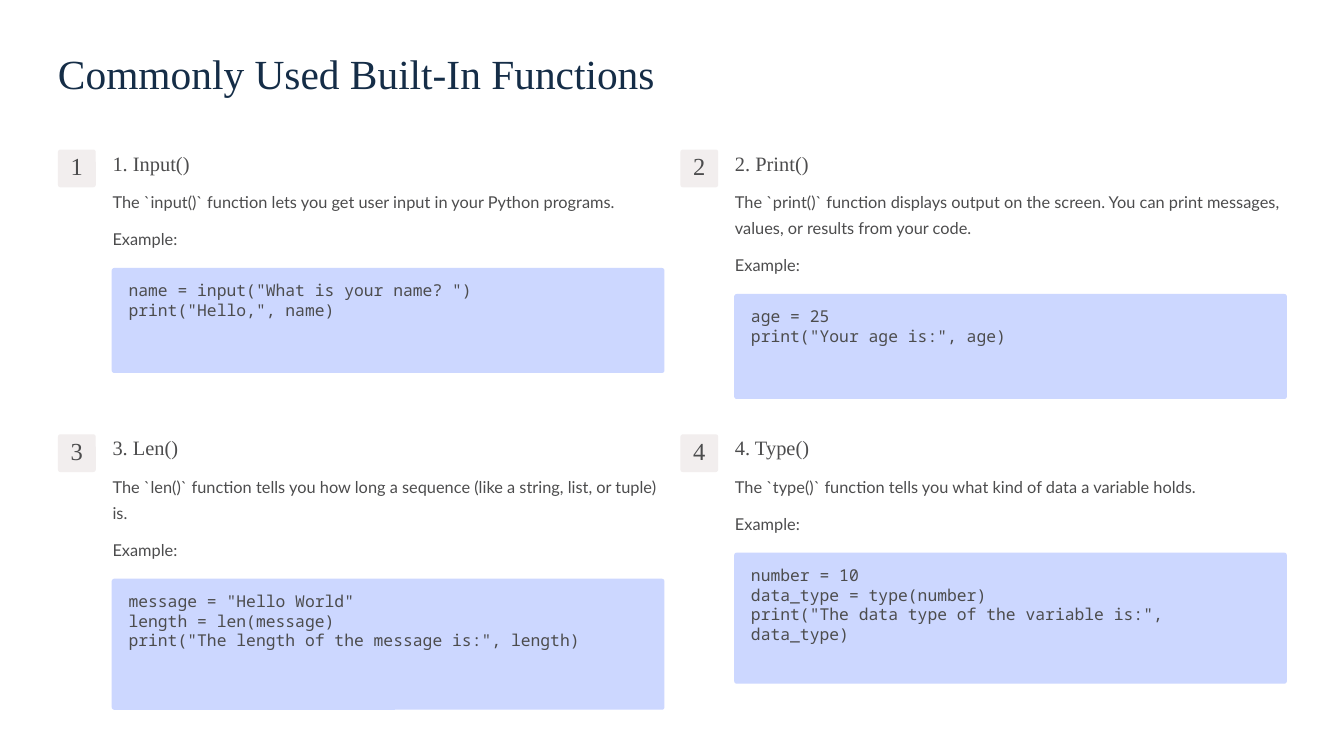
from dataclasses import dataclass

from pptx import Presentation
from pptx.dml.color import RGBColor
from pptx.enum.shapes import MSO_SHAPE
from pptx.enum.text import MSO_ANCHOR, PP_ALIGN
from pptx.util import Inches, Pt


@dataclass(frozen=True)
class TextStyle:
    font: str
    size: float
    line_spacing: float
    color: str = "4C4C4D"


@dataclass(frozen=True)
class Theme:
    badge_fill: str = "F2EEEE"
    code_fill: str = "CCD7FF"
    title: TextStyle = TextStyle("Times New Roman", 35.5, 44.5, "152D47")
    number: TextStyle = TextStyle("Times New Roman", 21, 21)
    heading: TextStyle = TextStyle("Times New Roman", 17.5, 22)
    body: TextStyle = TextStyle("Lato", 14, 22.5)
    code: TextStyle = TextStyle("Noto Sans Mono", 14, 16.8)


THEME = Theme()
COLUMNS = (0.69, 8.1)
ROWS = (1.78, 5.17)
BADGE_SIZE = 0.45
CORNER_RADIUS = 0.03
CONTENT_INDENT = 0.65
CONTENT_WIDTH = 6.56
BODY_LINE = 0.31

FUNCTIONS = [
    ("1. Input()",
     "The `input()` function lets you get user input in your Python programs.", 1,
     ['name = input("What is your name? ")', 'print("Hello,", name)']),
    ("2. Print()",
     "The `print()` function displays output on the screen. "
     "You can print messages, values, or results from your code.", 2,
     ["age = 25", 'print("Your age is:", age)']),
    ("3. Len()",
     "The `len()` function tells you how long a sequence (like a string, list, or tuple) is.", 2,
     ['message = "Hello World"', "length = len(message)",
      'print("The length of the message is:", length)']),
    ("4. Type()",
     "The `type()` function tells you what kind of data a variable holds.", 1,
     ["number = 10", "data_type = type(number)",
      'print("The data type of the variable is:", data_type)']),
]


def fill_text(shape, lines, style, alignment=PP_ALIGN.LEFT, anchor=MSO_ANCHOR.TOP):
    frame = shape.text_frame
    frame.word_wrap = True
    frame.vertical_anchor = anchor
    frame.margin_left = frame.margin_right = frame.margin_top = frame.margin_bottom = 0
    frame.text = "\n".join(lines)
    for paragraph in frame.paragraphs:
        paragraph.alignment = alignment
        paragraph.line_spacing = Pt(style.line_spacing)
        paragraph.font.name = style.font
        paragraph.font.size = Pt(style.size)
        paragraph.font.color.rgb = RGBColor.from_string(style.color)


def add_text(slide, left, top, width, height, lines, style):
    box = slide.shapes.add_textbox(Inches(left), Inches(top), Inches(width), Inches(height))
    fill_text(box, lines, style)


def add_panel(slide, left, top, width, height, color):
    panel = slide.shapes.add_shape(MSO_SHAPE.ROUNDED_RECTANGLE, Inches(left), Inches(top),
                                   Inches(width), Inches(height))
    panel.adjustments[0] = CORNER_RADIUS / min(width, height)
    panel.shadow.inherit = False
    panel.fill.solid()
    panel.fill.fore_color.rgb = RGBColor.from_string(color)
    panel.line.fill.background()
    return panel


def add_badge(slide, left, top, number):
    badge = add_panel(slide, left, top, BADGE_SIZE, BADGE_SIZE, THEME.badge_fill)
    fill_text(badge, [str(number)], THEME.number, PP_ALIGN.CENTER, MSO_ANCHOR.MIDDLE)


def add_code(slide, left, top, lines):
    height = 0.63 + BODY_LINE * len(lines)
    add_panel(slide, left - 0.01, top, CONTENT_WIDTH + 0.02, height, THEME.code_fill)
    add_text(slide, left + 0.19, top + 0.15, 6.19, height - 0.3, lines, THEME.code)


def add_function(slide, left, top, number, heading, description, line_count, code):
    content_left = left + CONTENT_INDENT
    example_top = top + 0.56 + BODY_LINE * line_count
    add_badge(slide, left, top, number)
    add_text(slide, content_left, top, 2.47, 0.31, [heading], THEME.heading)
    add_text(slide, content_left, top + 0.43, CONTENT_WIDTH, BODY_LINE * line_count,
             [description], THEME.body)
    add_text(slide, content_left, example_top, CONTENT_WIDTH, BODY_LINE, ["Example:"], THEME.body)
    add_code(slide, content_left, example_top + 0.54, code)


def main():
    presentation = Presentation()
    presentation.slide_width = Inches(16)
    presentation.slide_height = Inches(9)
    slide = presentation.slides.add_slide(presentation.slide_layouts[6])
    add_text(slide, COLUMNS[0], 0.55, 7.25, 0.62, ["Commonly Used Built-In Functions"], THEME.title)
    for index, function in enumerate(FUNCTIONS):
        row, column = divmod(index, len(COLUMNS))
        add_function(slide, COLUMNS[column], ROWS[row], index + 1, *function)
    presentation.save("out.pptx")


if __name__ == "__main__":
    main()
